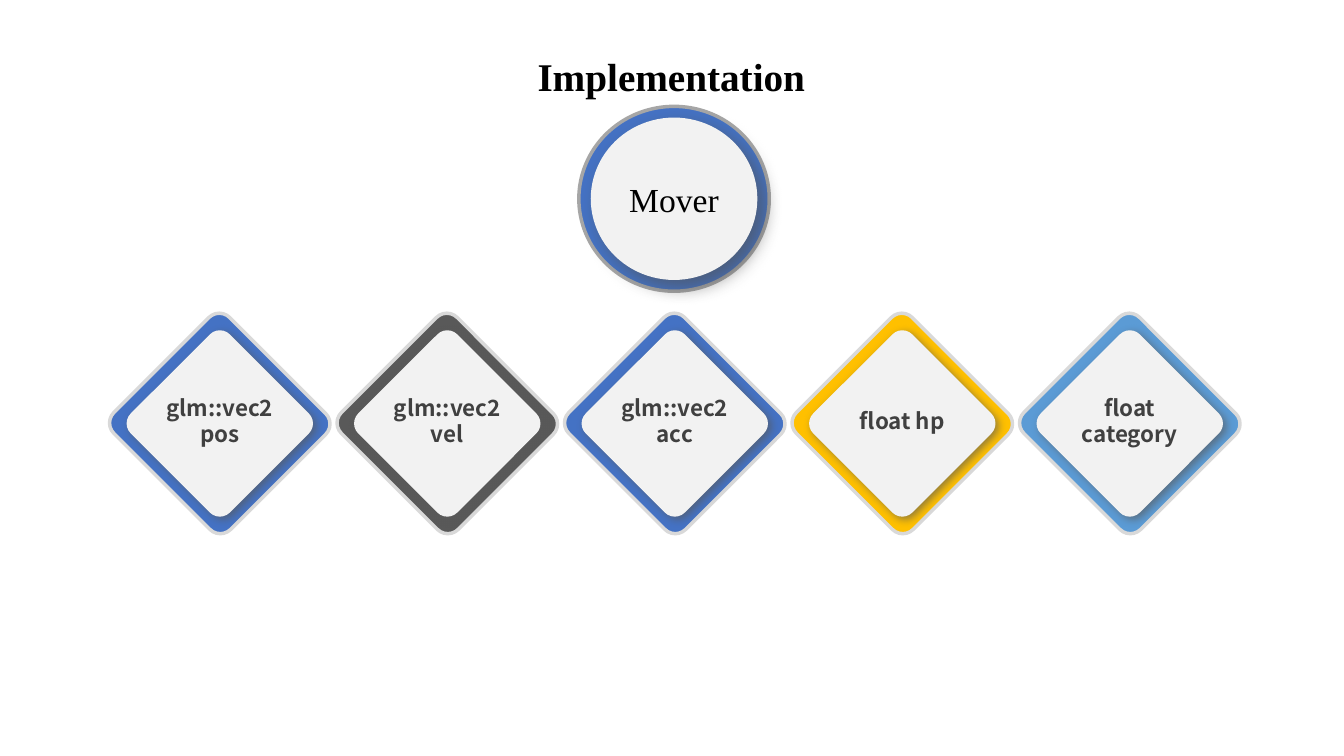
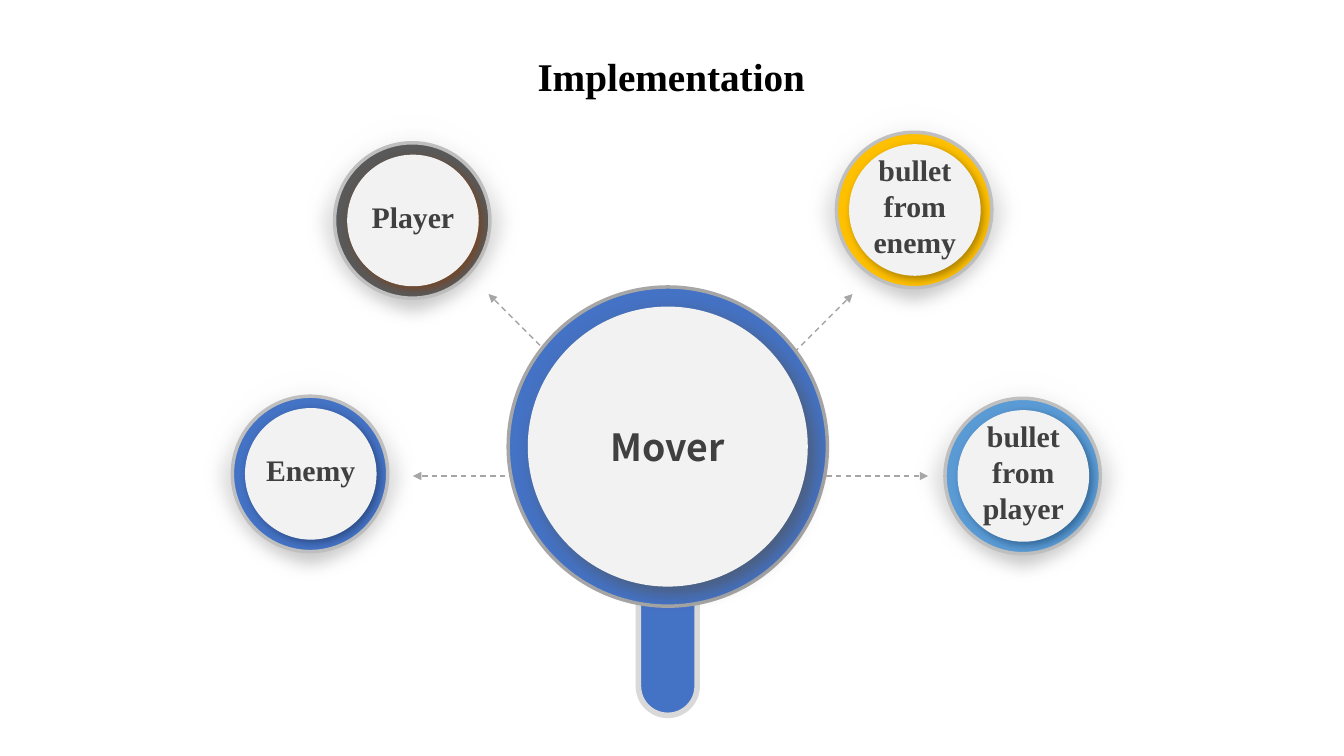
from lxml.etree import SubElement
from pptx import Presentation
from pptx.dml.color import RGBColor
from pptx.enum.dml import MSO_LINE
from pptx.enum.shapes import MSO_CONNECTOR, MSO_SHAPE
from pptx.enum.text import MSO_ANCHOR, PP_ALIGN
from pptx.oxml.ns import qn
from pptx.util import Pt

INK = {
    "black": "000000", "text": "404040", "face": "F2F2F2", "white": "FFFFFF",
    "blue": "4472C4", "dark": "595959", "gold": "FFC000", "sky": "5B9BD5",
    "pale": "D9D9D9", "soft": "BFBFBF", "grey": "A6A6A6", "shade": "525252",
    "navy": "203864", "brown": "843C0B", "olive": "806000", "deep": "1F4E79",
}
RGB = {name: RGBColor.from_string(code) for name, code in INK.items()}
SERIF, SANS = "Times New Roman", "Noto Sans CJK SC"


def write(shape, text, size, font=SERIF, color="text", bold=True, lead=None, foot=0):
    """Put one centred paragraph in the shape; foot lifts it, lead is line pitch."""
    frame = shape.text_frame
    frame.word_wrap = True
    frame.vertical_anchor = MSO_ANCHOR.MIDDLE
    frame.margin_left = frame.margin_right = frame.margin_top = 0
    frame.margin_bottom = Pt(foot)
    para = frame.paragraphs[0]
    para.alignment = PP_ALIGN.CENTER
    para.line_spacing = Pt(lead) if lead else 1.0
    run = para.add_run()
    run.text = text
    run.font.size, run.font.name, run.font.bold = Pt(size), font, bold
    run.font.color.rgb = RGB[color]


def plate(slide, kind, x, y, wide, high, fill, line=None, thick=2.5,
          turn=0, bend=None, shade=None, blur=6, dist=3):
    """Draw a filled shape centred on x, y, with an optional line and shadow."""
    shape = slide.shapes.add_shape(
        kind, Pt(x - wide / 2), Pt(y - high / 2), Pt(wide), Pt(high))
    shape.rotation = turn
    if bend is not None:
        shape.adjustments[0] = bend
    shape.fill.solid()
    shape.fill.fore_color.rgb = RGB[fill]
    if line:
        shape.line.color.rgb = RGB[line]
        shape.line.width = Pt(thick)
    else:
        shape.line.fill.background()
    shape.shadow.inherit = False
    if shade:
        effects = shape._element.spPr.find(qn("a:effectLst"))
        outer = SubElement(effects, qn("a:outerShdw"), blurRad=str(Pt(blur)),
                           dist=str(Pt(dist)), dir="2700000", algn="tl", rotWithShape="0")
        tint = SubElement(outer, qn("a:srgbClr"), val=INK[shade])
        SubElement(tint, qn("a:alpha"), val="64000")
    return shape


deck = Presentation()
deck.slide_width, deck.slide_height = Pt(960), Pt(540)
OVAL, ROUND = MSO_SHAPE.OVAL, MSO_SHAPE.ROUNDED_RECTANGLE

pages = []
for _ in range(2):
    page = deck.slides.add_slide(deck.slide_layouts[5])
    title = page.shapes.title
    title.left, title.top, title.width, title.height = Pt(294.5), Pt(34), Pt(370), Pt(41)
    write(title, "Implementation", 28, color="black")
    pages.append(page)
fields, kinds = pages

# Fields of a mover
parts = [("glm::vec2 pos", "blue"), ("glm::vec2 vel", "dark"), ("glm::vec2 acc", "blue"),
         ("float hp", "gold"), ("float category", "sky")]
for i, (text, color) in enumerate(parts):
    x = 157 + 162.5 * i
    plate(fields, ROUND, x, 302.5, 118, 117, color, "pale", turn=45, bend=0.09)
    plate(fields, ROUND, x, 302.5, 100, 100, "face", turn=45, bend=0.1, shade="dark")
    label = fields.shapes.add_textbox(Pt(x - 40), Pt(280), Pt(80), Pt(41))
    write(label, text, 16, font=SANS, lead=19)

plate(fields, OVAL, 481.5, 142, 136, 132, "blue", "grey")
hub = plate(fields, OVAL, 481.5, 142, 119, 116, "face", shade="shade", blur=13, dist=7)
write(hub, "Mover", 24, color="black", bold=False)

# Kinds of mover
plate(kinds, ROUND, 477, 457, 42, 108, "blue", "pale", thick=4, bend=0.5)

nodes = [("Enemy", 221.5, 338.5, "blue", "navy"), ("Player", 294.5, 157.5, "dark", "brown"),
         ("bullet from enemy", 653, 150, "gold", "olive"),
         ("bullet from player", 730.5, 340, "sky", "deep")]
for text, x, y, color, shade in nodes:
    halo = plate(kinds, OVAL, x, y, 154, 154, "white")
    halo.fill.gradient()
    halo.fill.gradient_angle = 270
    for stop, tone in zip(halo.fill.gradient_stops, ("white", "soft")):
        stop.color.rgb = RGB[tone]
    SubElement(halo._element.spPr.find(qn("a:effectLst")), qn("a:softEdge"), rad=str(Pt(12.5)))
    plate(kinds, OVAL, x, y, 111, 111, color, "soft")
    face = plate(kinds, OVAL, x + 0.5, y, 94, 94, "face", shade=shade)
    write(face, text, 21.3, lead=25.7, foot=6)

for dx, dy in [(-184, 0), (184, 0), (-130, -130), (130, -130)]:
    arrow = kinds.shapes.add_connector(
        MSO_CONNECTOR.STRAIGHT, Pt(479), Pt(340), Pt(479 + dx), Pt(340 + dy))
    arrow.line.color.rgb = RGB["grey"]
    arrow.line.width = Pt(1)
    arrow.line.dash_style = MSO_LINE.DASH
    SubElement(arrow.line._get_or_add_ln(), qn("a:tailEnd"), type="triangle")
    SubElement(arrow._element.spPr, qn("a:effectLst"))

plate(kinds, OVAL, 477, 319, 228, 228, "blue", "grey")
hub = plate(kinds, OVAL, 477, 319, 200, 200, "face", shade="shade", blur=13, dist=7)
write(hub, "Mover", 26.7, font=SANS)

deck.save("out.pptx")
